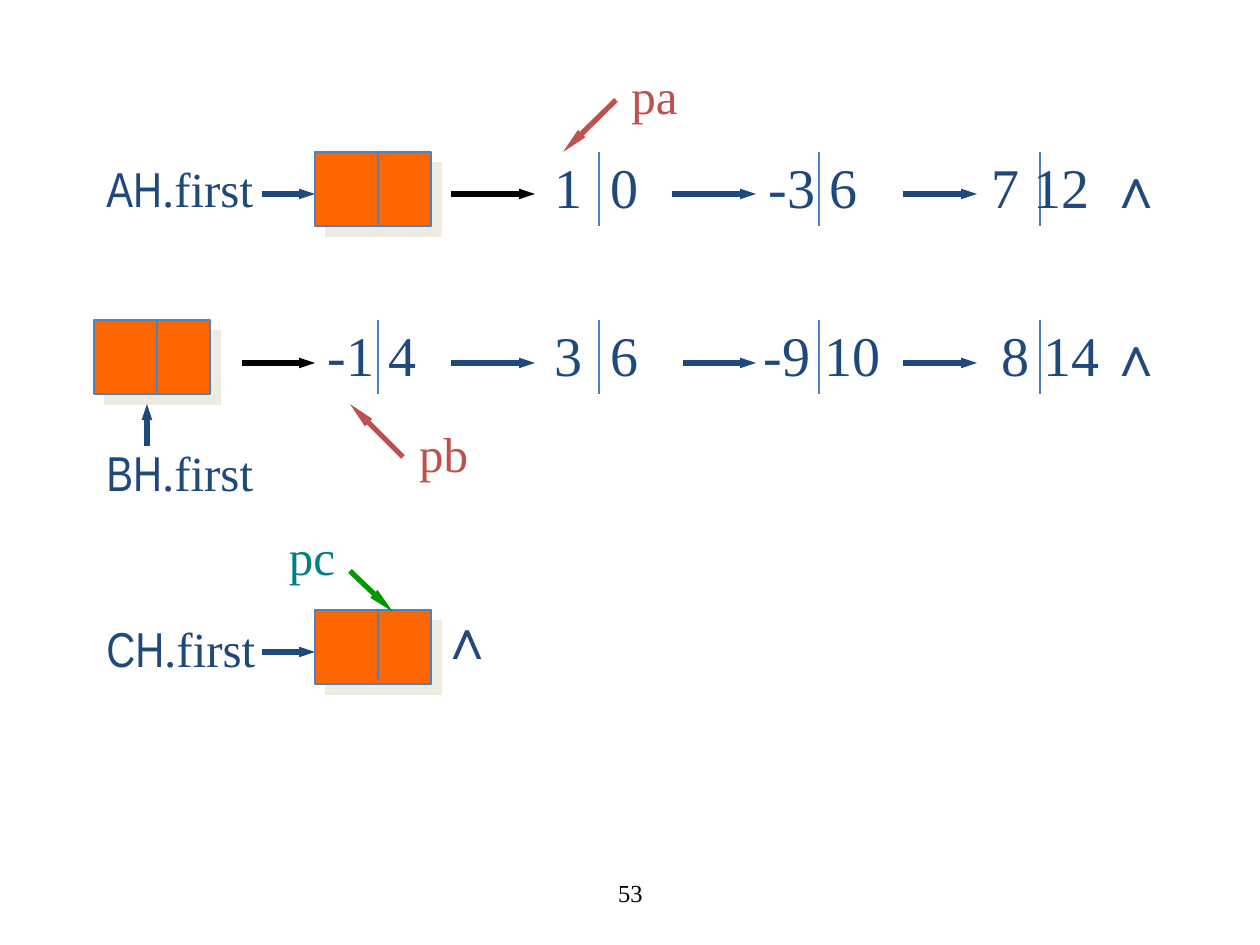
from dataclasses import dataclass

from lxml.etree import SubElement
from pptx import Presentation
from pptx.dml.color import RGBColor
from pptx.enum.shapes import MSO_CONNECTOR, MSO_SHAPE
from pptx.enum.text import MSO_ANCHOR, MSO_AUTO_SIZE, PP_ALIGN
from pptx.oxml.ns import qn
from pptx.slide import Slide
from pptx.util import Emu, Pt

NAVY = RGBColor(0x1F, 0x49, 0x7D)
BLUE = RGBColor(0x4F, 0x81, 0xBD)
ORANGE = RGBColor(0xFF, 0x66, 0x00)
RED = RGBColor(0xC0, 0x50, 0x4D)
GREEN = RGBColor(0x00, 0x99, 0x00)
TEAL = RGBColor(0x00, 0x80, 0x80)
BLACK = RGBColor(0x00, 0x00, 0x00)
SHADOW = RGBColor(0xEE, 0xEC, 0xE1)

SERIF, NARROW = "Times New Roman", "Arial Narrow"
NODE_WIDTH, NODE_HEIGHT = 116, 74
ROW_A, ROW_B, ROW_C = 152, 320, 610
ARROW_A, ARROW_B, ARROW_C = 194, 363, 652
VALUE_A, VALUE_B = 146, 314


def px(length: int) -> Emu:
    return Emu(round(length * 914400 / 126))


@dataclass
class Line:
    x1: int
    y1: int
    x2: int
    y2: int
    color: RGBColor = NAVY
    head_length: str = "med"


@dataclass
class Label:
    text: str
    left: int
    top: int
    width: int
    height: int = 79
    size: int = 32
    color: RGBColor = NAVY
    centered: bool = False
    narrow_prefix: str = ""
    tab: int = 0


def head_label(prefix: str, top: int) -> Label:
    return Label(".first", 94, top, 176, 72, 28, narrow_prefix=prefix)


def pointer_label(text: str, left: int, top: int, width: int, color: RGBColor) -> Label:
    return Label(text, left, top, width, 72, 28, color, centered=True)


HEAD_NODES = [(315, ROW_A), (94, ROW_B), (315, ROW_C)]

DIVIDERS = [
    Line(x, top, x, top + NODE_HEIGHT, BLUE)
    for top, columns in (
        (ROW_A, (378, 599, 819, 1040)),
        (ROW_B, (157, 378, 599, 819, 1040)),
    )
    for x in columns
] + [Line(378, 611, 378, 680, BLUE)]

ARROWS = [
    Line(262, ARROW_A, 315, ARROW_A),
    Line(451, ARROW_A, 535, ARROW_A, BLACK),
    Line(672, ARROW_A, 756, ARROW_A),
    Line(903, ARROW_A, 977, ARROW_A),
    Line(242, ARROW_B, 315, ARROW_B, BLACK),
    Line(451, ARROW_B, 535, ARROW_B),
    Line(683, ARROW_B, 756, ARROW_B),
    Line(903, ARROW_B, 977, ARROW_B),
    Line(262, ARROW_C, 315, ARROW_C),
    Line(147, 446, 147, 404),
    Line(616, 100, 563, 152, RED, "lg"),
    Line(403, 457, 350, 404, RED, "lg"),
    Line(350, 571, 393, 612, GREEN, "lg"),
]

LABELS = [
    head_label("AH", 152),
    head_label("BH", 436),
    head_label("CH", 612),
    Label("1\t0", 542, VALUE_A, 110, tab=56),
    Label("-3 6", 756, VALUE_A, 118),
    Label("7 12", 979, VALUE_A, 128),
    Label("∧", 1096, VALUE_A, 59),
    Label("-1 4", 315, VALUE_B, 118),
    Label("3\t6", 542, VALUE_B, 110, tab=56),
    Label("-9 10", 751, VALUE_B, 146),
    Label("8 14", 989, VALUE_B, 128),
    Label("∧", 1096, VALUE_B, 59),
    Label("∧", 427, 597, 59),
    pointer_label("pa", 616, 59, 77, RED),
    pointer_label("pb", 403, 417, 81, RED),
    pointer_label("pc", 275, 520, 74, TEAL),
    Label("53", 431, 861, 399, 63, 14, BLACK, centered=True),
]


def add_head_node(page: Slide, left: int, top: int) -> None:
    """Draw an orange node with a hard shadow down and to the right."""
    node = page.shapes.add_shape(
        MSO_SHAPE.RECTANGLE, px(left), px(top), px(NODE_WIDTH), px(NODE_HEIGHT)
    )
    node.fill.solid()
    node.fill.fore_color.rgb = ORANGE
    node.line.color.rgb = BLUE
    node.line.width = Pt(0.75)
    node.shadow.inherit = False
    effects = node._element.spPr.find(qn("a:effectLst"))
    shadow = SubElement(
        effects, qn("a:outerShdw"), dist=str(Pt(8.5)), dir="2700000", algn="ctr", rotWithShape="0"
    )
    SubElement(shadow, qn("a:srgbClr"), val=str(SHADOW))


def add_line(page: Slide, line: Line, width: float, arrow: bool = False) -> None:
    connector = page.shapes.add_connector(
        MSO_CONNECTOR.STRAIGHT, px(line.x1), px(line.y1), px(line.x2), px(line.y2)
    )
    connector.line.color.rgb = line.color
    connector.line.width = Pt(width)
    if arrow:
        outline = connector.line._get_or_add_ln()
        SubElement(outline, qn("a:tailEnd"), type="triangle", w="sm", len=line.head_length)
    SubElement(connector._element.spPr, qn("a:effectLst"))


def add_label(page: Slide, label: Label) -> None:
    box = page.shapes.add_textbox(
        px(label.left), px(label.top), px(label.width), px(label.height)
    )
    frame = box.text_frame
    frame.word_wrap = False
    frame.auto_size = MSO_AUTO_SIZE.SHAPE_TO_FIT_TEXT
    para = frame.paragraphs[0]
    if label.centered:
        frame.vertical_anchor = MSO_ANCHOR.MIDDLE
        para.alignment = PP_ALIGN.CENTER
    if label.tab:
        tabs = SubElement(para._p.get_or_add_pPr(), qn("a:tabLst"))
        SubElement(tabs, qn("a:tab"), pos=str(px(label.tab)), algn="l")
    for text, font_name in ((label.narrow_prefix, NARROW), (label.text, SERIF)):
        if text:
            span = para.add_run()
            span.text = text
            span.font.name = font_name
            span.font.size = Pt(label.size)
            span.font.color.rgb = label.color


def main() -> None:
    deck = Presentation()
    deck.slide_width, deck.slide_height = px(1260), px(945)
    page = deck.slides.add_slide(deck.slide_layouts[6])
    for left, top in HEAD_NODES:
        add_head_node(page, left, top)
    for divider in DIVIDERS:
        add_line(page, divider, 0.75)
    for arrow in ARROWS:
        add_line(page, arrow, 3, arrow=True)
    for label in LABELS:
        add_label(page, label)
    deck.save("out.pptx")


if __name__ == "__main__":
    main()
